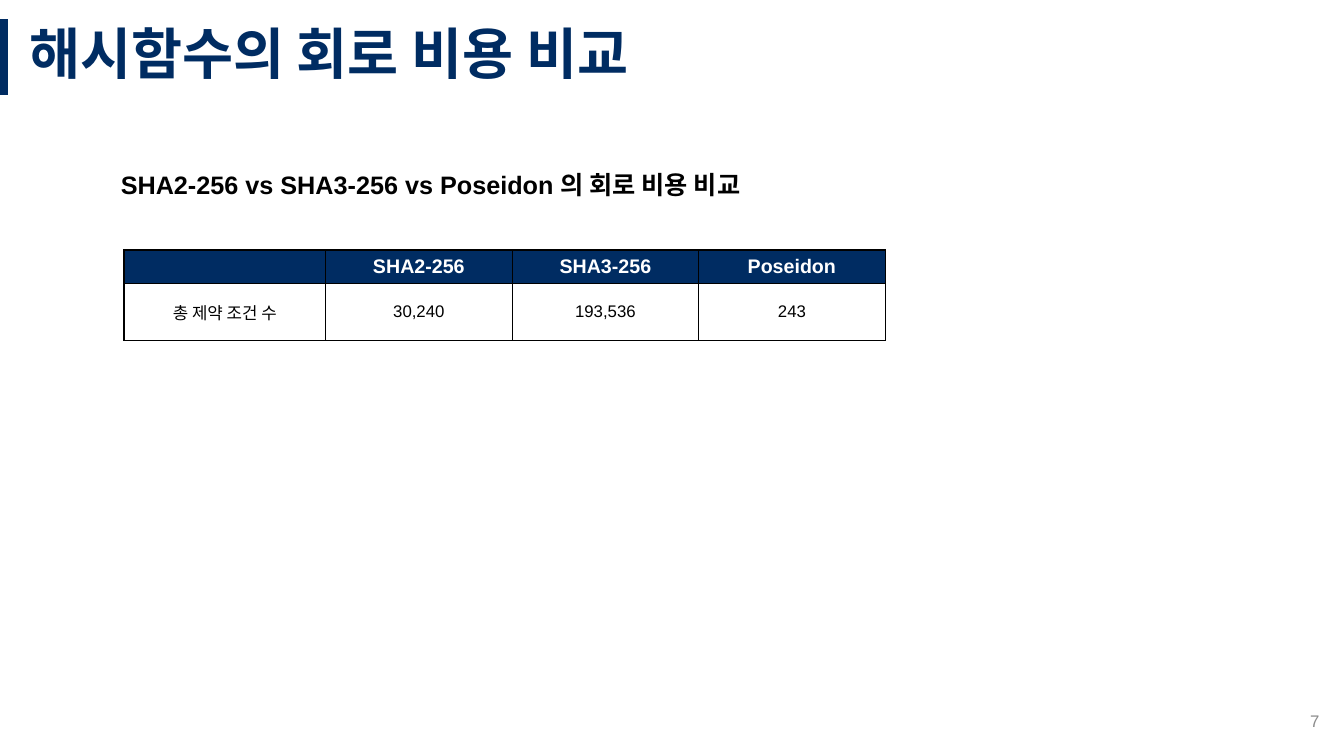
from lxml import etree
from pptx import Presentation, util as u
from pptx.dml.color import RGBColor
from pptx.enum import shapes, text
from pptx.oxml import ns

NAVY = RGBColor(0x00, 0x2C, 0x62)
BLACK = RGBColor(0x00, 0x00, 0x00)
WHITE = RGBColor(0xFF, 0xFF, 0xFF)
GRAY = RGBColor(0x8C, 0x8C, 0x8C)
SLIDE_WIDTH = u.Inches(13.33)
SLIDE_HEIGHT = u.Inches(7.5)
COLUMN = SLIDE_WIDTH / 100
ROW = SLIDE_HEIGHT / 100
HASH_COSTS = [
    ["", "SHA2-256", "SHA3-256", "Poseidon"],
    ["총 제약 조건 수", "30,240", "193,536", "243"],
]
COST_COLUMNS = [15, 13.88, 13.88, 13.88]
COST_ROWS = [4.4, 7.47]


def across(columns):
    return u.Emu(round(columns * COLUMN))


def down(rows):
    return u.Emu(round(rows * ROW))


def style(para, size, color, bold=False, align=None):
    para.alignment = align
    font = para.font
    font.name = "Arial"
    font.size = u.Pt(size)
    font.bold = bold
    font.color.rgb = color


def add_text(page, words, left, top, width, height, size, color,
             bold=False, align=None, anchor=text.MSO_ANCHOR.MIDDLE):
    box = page.shapes.add_textbox(across(left), down(top), across(width), down(height))
    frame = box.text_frame
    frame.word_wrap = True
    frame.vertical_anchor = anchor
    para = frame.paragraphs[0]
    para.text = words
    style(para, size, color, bold, align)
    return para


def add_accent(page, left, top, bottom):
    accent = page.shapes.add_connector(
        shapes.MSO_CONNECTOR.STRAIGHT,
        across(left), down(top), across(left), down(bottom))
    accent.line.color.rgb = NAVY
    accent.line.width = u.Pt(6)
    etree.SubElement(accent._element.spPr, ns.qn("a:effectLst"))


def add_borders(cell):
    properties = cell._tc.get_or_add_tcPr()
    for position, side in enumerate(("lnL", "lnR", "lnT", "lnB")):
        border = etree.Element(ns.qn(f"a:{side}"), w=str(u.Pt(1)))
        fill = etree.SubElement(border, ns.qn("a:solidFill"))
        etree.SubElement(fill, ns.qn("a:srgbClr"), val=str(BLACK))
        properties.insert(position, border)


def fill_cell(cell, words, is_header):
    cell.vertical_anchor = text.MSO_ANCHOR.MIDDLE
    cell.fill.solid()
    cell.fill.fore_color.rgb = NAVY if is_header else WHITE
    para = cell.text_frame.paragraphs[0]
    if words:
        para.text = words
    else:
        cell.margin_top = cell.margin_bottom = 0
    style(para, 14 if is_header else 12, WHITE if is_header else BLACK,
          is_header, text.PP_ALIGN.CENTER)
    add_borders(cell)


def add_cost_table(page, left, top):
    table = page.shapes.add_table(
        len(COST_ROWS), len(COST_COLUMNS), across(left), down(top),
        across(sum(COST_COLUMNS)), down(sum(COST_ROWS))).table
    for column, width in zip(table.columns, COST_COLUMNS):
        column.width = across(width)
    for row, height, values in zip(table.rows, COST_ROWS, HASH_COSTS):
        row.height = down(height)
        for cell, words in zip(row.cells, values):
            fill_cell(cell, words, values is HASH_COSTS[0])


def main():
    deck = Presentation()
    deck.slide_width = SLIDE_WIDTH
    deck.slide_height = SLIDE_HEIGHT
    page = deck.slides.add_slide(deck.slide_layouts[6])
    add_accent(page, 0.3, 2.53, 12.53)
    title = add_text(page, "해시함수의 회로 비용 비교", 1.43, 2.53, 98.57, 10,
                     39.6, NAVY, bold=True)
    title.line_spacing = 0.9
    add_text(page, "7", 76.42, 92.67, 22.5, 5.33, 12, GRAY,
             align=text.PP_ALIGN.RIGHT)
    add_cost_table(page, 9.23, 33.07)
    add_text(page, "SHA2-256 vs SHA3-256 vs Poseidon 의 회로 비용 비교",
             8.25, 21.73, 90.7, 5.33, 18, BLACK, bold=True,
             anchor=text.MSO_ANCHOR.TOP)
    deck.save("out.pptx")


if __name__ == "__main__":
    main()
